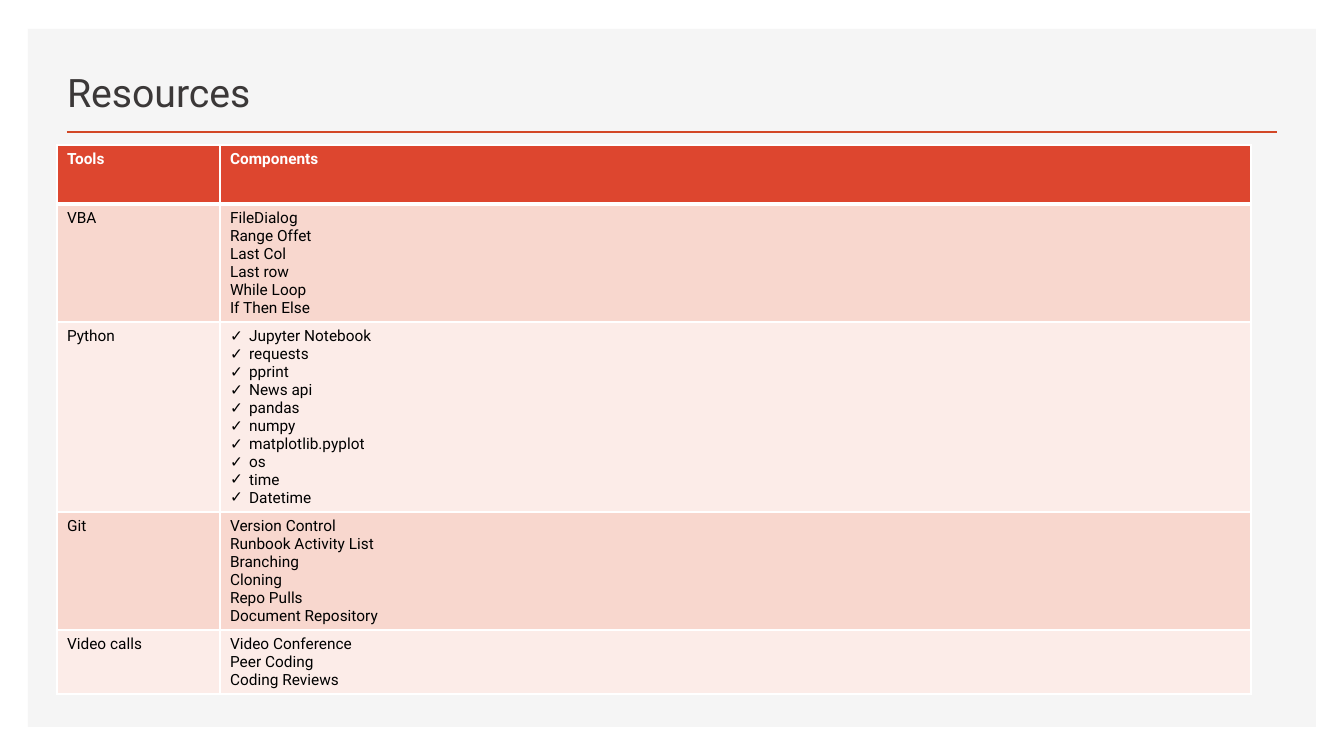
from lxml import etree
from pptx import Presentation
from pptx.dml.color import RGBColor
from pptx.enum.shapes import MSO_CONNECTOR, MSO_SHAPE
from pptx.enum.text import MSO_ANCHOR, PP_ALIGN
from pptx.oxml.ns import qn
from pptx.util import Pt

RECTANGLE = MSO_SHAPE.RECTANGLE
STRAIGHT = MSO_CONNECTOR.STRAIGHT
BOTTOM = MSO_ANCHOR.BOTTOM
LEFT = PP_ALIGN.LEFT

EMU_PER_PX = 914400 / 100.8
FONT = "Roboto"
TITLE_ONLY = 5

WHITE = "FFFFFF"
HEADER_FILL = "DD462F"
BAND_FILLS = ("F8D7CE", "FCECE8")

COLUMN_WIDTHS = (163, 1031)
HEADER_HEIGHT = 59
LINE_HEIGHT = 18
CELL_PADDING = 10
CHECK_INDENT = 19

HEADINGS = ("Tools", "Components")
# Tool, its components, whether they are ticked
RESOURCES = (
    ("VBA", ("FileDialog", "Range Offet", "Last Col", "Last row",
             "While Loop", "If Then Else"), False),
    ("Python", ("Jupyter Notebook", "requests", "pprint", "News api", "pandas",
                "numpy", "matplotlib.pyplot", "os", "time", "Datetime"), True),
    ("Git", ("Version Control", "Runbook Activity List", "Branching",
             "Cloning", "Repo Pulls", "Document Repository"), False),
    ("Video calls", ("Video Conference", "Peer Coding", "Coding Reviews"), False),
)


def px(length):
    return round(length * EMU_PER_PX)


def color(value):
    return RGBColor.from_string(value)


def format_font(paragraph, size, font_color, bold=False):
    for run in paragraph.runs:
        run.font.name = FONT
        run.font.size = Pt(size)
        run.font.bold = bold
        run.font.color.rgb = color(font_color)


def add_panel(slide, left, top, width, height, fill):
    panel = slide.shapes.add_shape(RECTANGLE, px(left), px(top), px(width), px(height))
    panel.shadow.inherit = False
    panel.fill.solid()
    panel.fill.fore_color.rgb = color(fill)
    panel.line.fill.background()


def add_rule(slide, left, right, y, line_color, weight):
    rule = slide.shapes.add_connector(STRAIGHT, px(left), px(y), px(right), px(y))
    rule.line.color.rgb = color(line_color)
    rule.line.width = Pt(weight)
    etree.SubElement(rule.element.spPr, qn("a:effectLst"))


def set_title(slide, text, left, top, width, height):
    title = slide.shapes.title
    title.left, title.top = px(left), px(top)
    title.width, title.height = px(width), px(height)
    # Bring the title in front of the panel
    title.element.getparent().append(title.element)
    frame = title.text_frame
    frame.text = text
    frame.word_wrap = True
    frame.vertical_anchor = BOTTOM
    frame.paragraphs[0].alignment = LEFT
    format_font(frame.paragraphs[0], 28, "3B3838")


def set_borders(cell, top=1, bottom=1):
    properties = cell._tc.get_or_add_tcPr()
    for tag, weight in (("lnL", 1), ("lnR", 1), ("lnT", top), ("lnB", bottom)):
        line = etree.SubElement(properties, qn(f"a:{tag}"), w=str(Pt(weight)))
        fill = etree.SubElement(line, qn("a:solidFill"))
        etree.SubElement(fill, qn("a:srgbClr"), val=WHITE)


def add_check(paragraph):
    properties = paragraph._p.get_or_add_pPr()
    properties.set("marL", str(px(CHECK_INDENT)))
    properties.set("indent", str(-px(CHECK_INDENT)))
    etree.SubElement(properties, qn("a:buFont"), typeface=FONT)
    etree.SubElement(properties, qn("a:buChar"), char="✓")


def fill_cell(cell, lines, fill, font_color="000000", bold=False, checked=False):
    cell.fill.solid()
    cell.fill.fore_color.rgb = color(fill)
    cell.text_frame.text = "\n".join(lines)
    for paragraph in cell.text_frame.paragraphs:
        if checked:
            add_check(paragraph)
        format_font(paragraph, 11, font_color, bold)


def add_resource_table(slide, left, top):
    heights = [HEADER_HEIGHT] + [
        len(components) * LINE_HEIGHT + CELL_PADDING for _, components, _ in RESOURCES]
    table = slide.shapes.add_table(
        len(heights), len(COLUMN_WIDTHS), px(left), px(top),
        px(sum(COLUMN_WIDTHS)), px(sum(heights))).table
    for column, width in zip(table.columns, COLUMN_WIDTHS):
        column.width = px(width)
    for index, height in enumerate(heights):
        table.rows[index].height = px(height)
        for cell in table.rows[index].cells:
            set_borders(cell, top=3 if index == 1 else 1, bottom=3 if index == 0 else 1)

    # Header row
    for column, heading in enumerate(HEADINGS):
        fill_cell(table.cell(0, column), [heading], HEADER_FILL, WHITE, bold=True)

    # Banded body rows
    for index, (tool, components, checked) in enumerate(RESOURCES):
        fill = BAND_FILLS[index % 2]
        fill_cell(table.cell(index + 1, 0), [tool], fill)
        fill_cell(table.cell(index + 1, 1), components, fill, checked=checked)


def main():
    presentation = Presentation()
    presentation.slide_width, presentation.slide_height = px(1344), px(756)
    slide = presentation.slides.add_slide(presentation.slide_layouts[TITLE_ONLY])

    # Backdrop and title
    add_panel(slide, 28, 29, 1288, 698, "F5F5F5")
    add_rule(slide, 67, 1277, 132, "D24726", 2)
    set_title(slide, "Resources", 57, 49, 758, 71)

    # Tools and their components
    add_resource_table(slide, 57, 145)
    presentation.save("out.pptx")


if __name__ == "__main__":
    main()
